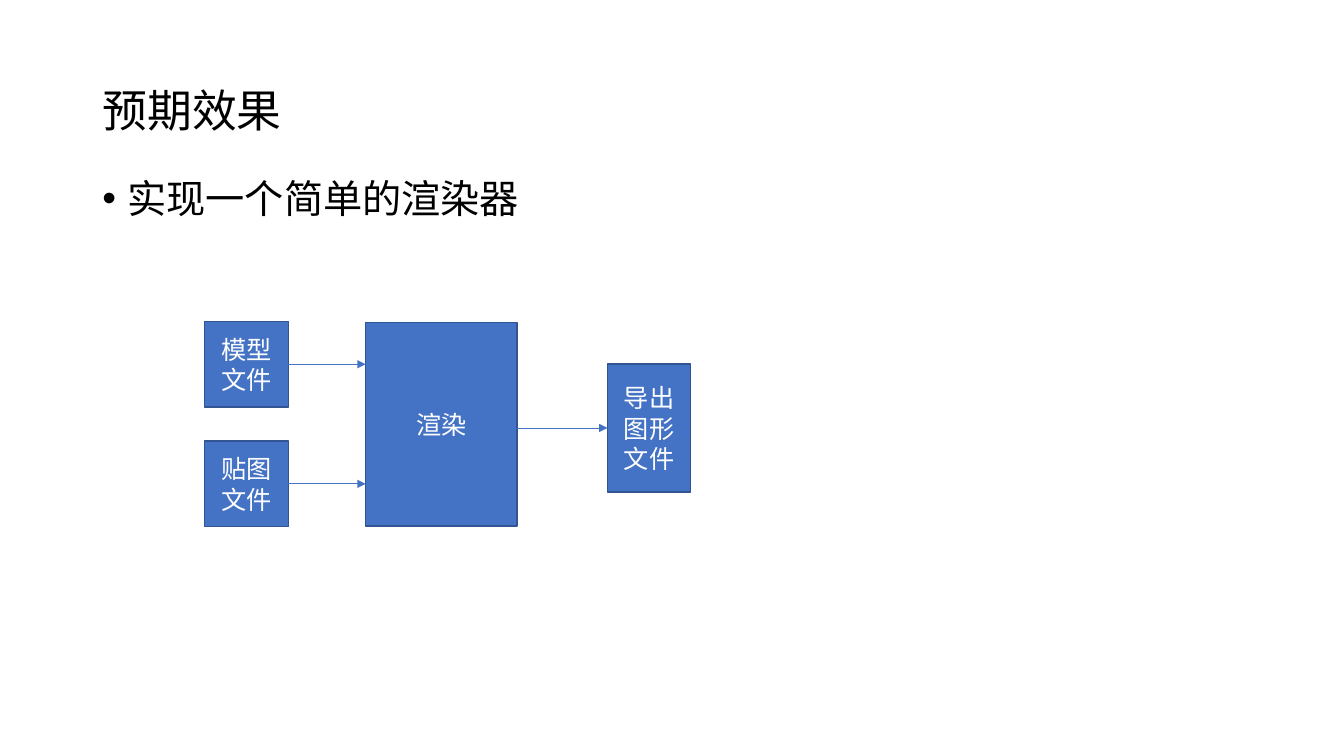
"""Build the slide on the expected result of the renderer."""
import pptx
import pptx.dml.color
import pptx.enum.shapes
import pptx.enum.text
import pptx.oxml.ns
import pptx.util
from lxml import etree

Pt = pptx.util.Pt
ALIGN = pptx.enum.text.PP_ALIGN
ANCHOR = pptx.enum.text.MSO_ANCHOR
FONT = "Noto Sans CJK SC"
BLACK, WHITE, BLUE, NAVY = "000000", "FFFFFF", "4472C4", "325491"


def tint(form, color):
    """Give a fill or font colour format a solid hex colour."""
    form.rgb = pptx.dml.color.RGBColor.from_string(color)


def node(parent, tag, **attrs):
    """Add a drawing element to a parent."""
    return etree.SubElement(parent, pptx.oxml.ns.qn(tag), attrs)


def write(frame, text, size, color, align, anchor):
    """Write one run into a text frame and return its paragraph."""
    frame.word_wrap = True
    frame.auto_size = pptx.enum.text.MSO_AUTO_SIZE.NONE
    frame.vertical_anchor = anchor
    para = frame.paragraphs[0]
    para.alignment = align
    run = para.add_run()
    run.text = text
    run.font.size = Pt(size)
    run.font.name = FONT
    run.font.fill.solid()
    tint(run.font.fill.fore_color, color)
    node(run.font._element, "a:ea", typeface=FONT)
    return para


def add_title(slide, text, left, top, width, height):
    """Place and format the title."""
    title = slide.shapes.title
    title.left, title.top = Pt(left), Pt(top)
    title.width, title.height = Pt(width), Pt(height)
    para = write(title.text_frame, text, 32, BLACK, ALIGN.LEFT, ANCHOR.MIDDLE)
    para.line_spacing = 0.9


def add_point(slide, text, left, top, width, height):
    """Add a text box with one bullet point."""
    box = slide.shapes.add_textbox(Pt(left), Pt(top), Pt(width), Pt(height))
    para = write(box.text_frame, text, 28, BLACK, ALIGN.LEFT, ANCHOR.TOP)
    para.line_spacing = 0.9
    para.space_before = Pt(10)
    props = para._p.get_or_add_pPr()
    props.set("marL", str(Pt(18)))
    props.set("indent", str(-Pt(18)))
    node(props, "a:buFont", typeface="Arial")
    node(props, "a:buChar", char="•")


def add_box(slide, text, left, top, width, height):
    """Add a labelled blue box."""
    kind = pptx.enum.shapes.MSO_SHAPE.RECTANGLE
    box = slide.shapes.add_shape(kind, Pt(left), Pt(top), Pt(width), Pt(height))
    box.shadow.inherit = False
    box.fill.solid()
    tint(box.fill.fore_color, BLUE)
    box.line.width = Pt(1)
    tint(box.line.color, NAVY)
    write(box.text_frame, text, 18, WHITE, ALIGN.CENTER, ANCHOR.MIDDLE)
    return box


def add_arrow(slide, start, end, y):
    """Add a level arrow from one box's right edge to another's left edge."""
    kind = pptx.enum.shapes.MSO_CONNECTOR.STRAIGHT
    arrow = slide.shapes.add_connector(kind, start.left + start.width, y, end.left, y)
    arrow.line.width = Pt(0.5)
    tint(arrow.line.color, BLUE)
    node(arrow.line._get_or_add_ln(), "a:tailEnd", type="triangle")
    node(arrow._element.spPr, "a:effectLst")
    return arrow


def middle(box):
    """Return the height of a box's centre."""
    return box.top + box.height // 2


def main():
    """Build and save the slide."""
    deck = pptx.Presentation()
    deck.slide_width, deck.slide_height = Pt(960), Pt(540)
    slide = deck.slides.add_slide(deck.slide_layouts[5])
    add_title(slide, "预期效果", 66, 28.8, 828, 104.4)
    add_point(slide, "实现一个简单的渲染器", 66, 124.8, 828, 342.6)

    files = [add_box(slide, text, 146.2, 229.6 + 85.4 * row, 59.8, 61.2)
             for row, text in enumerate(("模型文件", "贴图文件"))]
    render = add_box(slide, "渲染", 261.2, 230.4, 108, 145.4)
    export = add_box(slide, "导出图形文件", 434, 260, 59.2, 91.4)

    for box in files:
        add_arrow(slide, box, render, middle(box)).begin_connect(box, 3)
    add_arrow(slide, render, export, middle(export)).end_connect(export, 1)
    deck.save("out.pptx")


if __name__ == "__main__":
    main()
